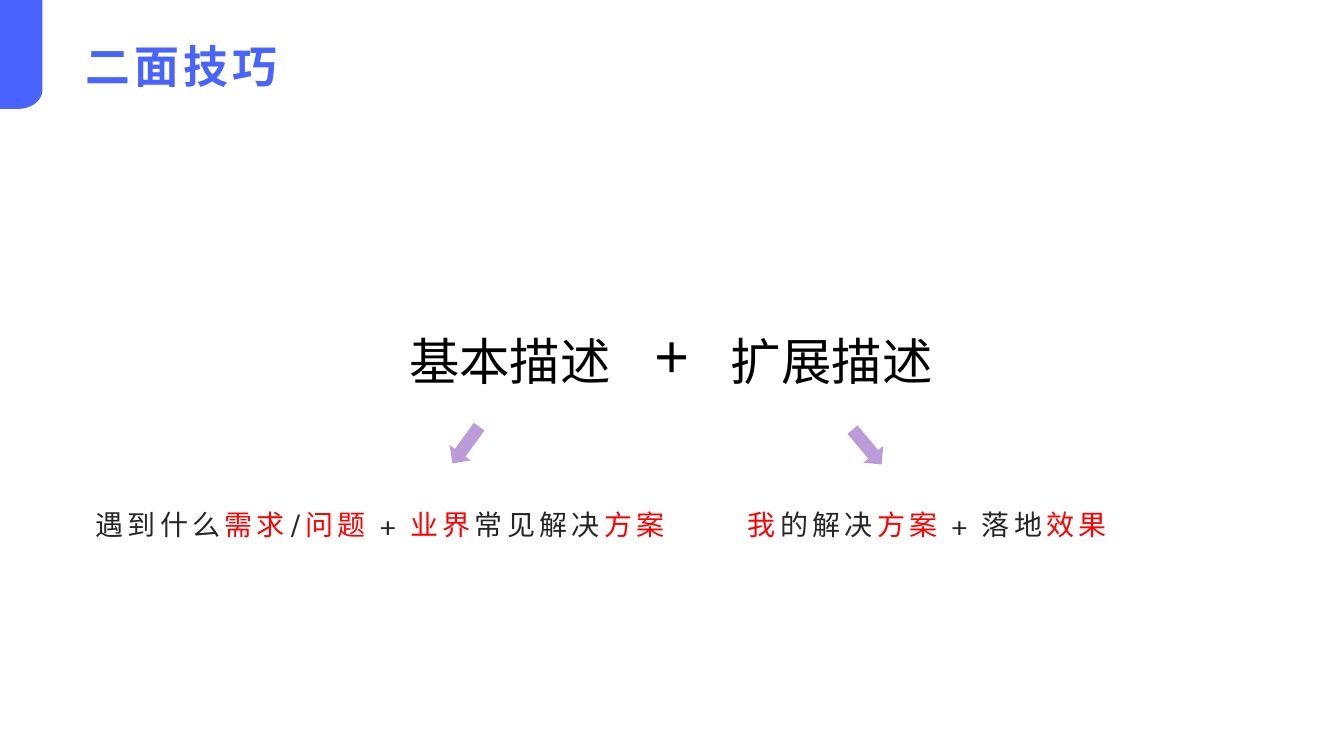
from dataclasses import dataclass
from pptx import Presentation
from pptx.dml.color import RGBColor
from pptx.enum.shapes import MSO_SHAPE
from pptx.enum.text import MSO_ANCHOR
from pptx.util import Inches, Pt


@dataclass
class Theme:
    blue: str = "4864FC"
    dark: str = "262626"
    red: str = "FF0000"
    black: str = "000000"
    mauve: str = "BC9BD9"
    head: str = "Karla"
    body: str = "Open Sans"
    title: int = 32
    note: int = 20
    term: int = 36
    plus: int = 44


class Deck:
    def __init__(self, slide, theme):
        self.slide, self.theme = slide, theme

    def paint(self, shape, color):
        shape.shadow.inherit = False
        shape.fill.solid()
        shape.fill.fore_color.rgb = RGBColor.from_string(color)
        shape.line.fill.background()

    def text(self, box, runs, size, font, bold=False, gap=0, low=False):
        frame = self.slide.shapes.add_textbox(*map(Inches, box)).text_frame
        frame.word_wrap = True
        frame.vertical_anchor = MSO_ANCHOR.BOTTOM if low else MSO_ANCHOR.TOP
        para = frame.paragraphs[0]
        para.font.size, para.font.name, para.font.bold = Pt(size), font, bold
        for words, color in runs:
            run = para.add_run()
            run.text = words
            run.font.color.rgb = RGBColor.from_string(color)
            if gap:
                run.font._element.set("spc", str(gap * 100))

    def note(self, box, parts):
        # Words between bars are red
        look = self.theme
        runs = [(part, look.red if i % 2 else look.dark)
                for i, part in enumerate(parts.split("|")) if part]
        self.text(box, runs, look.note, look.head, gap=3, low=True)

    def arrow(self, left, top, turn):
        shape = self.slide.shapes.add_shape(
            MSO_SHAPE.DOWN_ARROW, Inches(left), Inches(top), Inches(0.26), Inches(0.45))
        shape.rotation = turn
        self.paint(shape, self.theme.mauve)

    def tab(self, wide, high, start, ctrl):
        # Corner tab with one curved corner, sampled along a cubic curve
        knots = [(start, high), (ctrl, high), (wide, 1), (wide, 0.89)]
        curve = []
        for i in range(25):
            t = i / 24
            mix = ((1 - t) ** 3, 3 * t * (1 - t) ** 2, 3 * t * t * (1 - t), t ** 3)
            curve.append(tuple(sum(m * k[axis] for m, k in zip(mix, knots))
                               for axis in (0, 1)))
        form = self.slide.shapes.build_freeform(0, 0)
        edge = [(0, high), *curve, (wide, 0)]
        form.add_line_segments([(Inches(x), Inches(y)) for x, y in edge], close=True)
        self.paint(form.convert_to_shape(), self.theme.blue)


def main():
    prs = Presentation()
    prs.slide_width, prs.slide_height = Inches(13.33), Inches(7.5)
    look = Theme()
    deck = Deck(prs.slides.add_slide(prs.slide_layouts[6]), look)

    # Heading
    deck.tab(0.42, 1.08, 0.18, 0.31)
    deck.text((0.75, 0.23, 12, 0.74), [("二面技巧", look.blue)],
              look.title, look.head, bold=True, gap=3, low=True)

    # Explanations
    deck.note((0.85, 4.93, 5.99, 0.49), "遇到什么|需求|/|问题| + |业界|常见解决|方案")
    deck.note((7.32, 4.93, 4.58, 0.49), "|我|的解决|方案| + 落地|效果")

    # Formula
    deck.text((6.39, 3.11, 0.62, 0.84), [("+", look.black)], look.plus, look.body)
    for left, wide, term in ((3.96, 2.37, "基本描述"), (7.15, 2.6, "扩展描述")):
        deck.text((left, 3.23, wide, 0.71), [(term, look.black)], look.term, look.body)

    # Arrows to the explanations
    deck.arrow(4.49, 4.19, 36)
    deck.arrow(8.47, 4.21, 320)

    prs.save("out.pptx")


if __name__ == "__main__":
    main()
